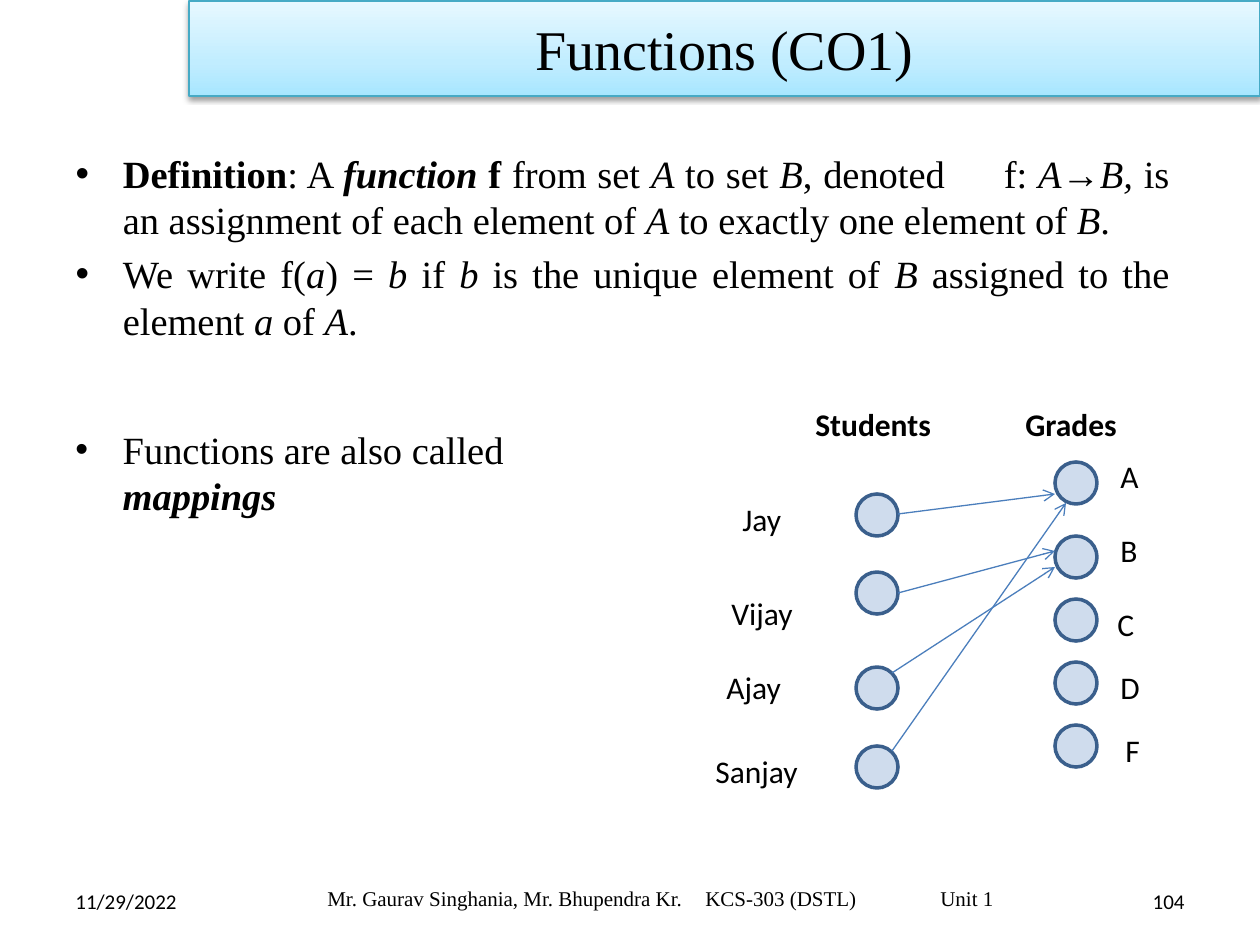
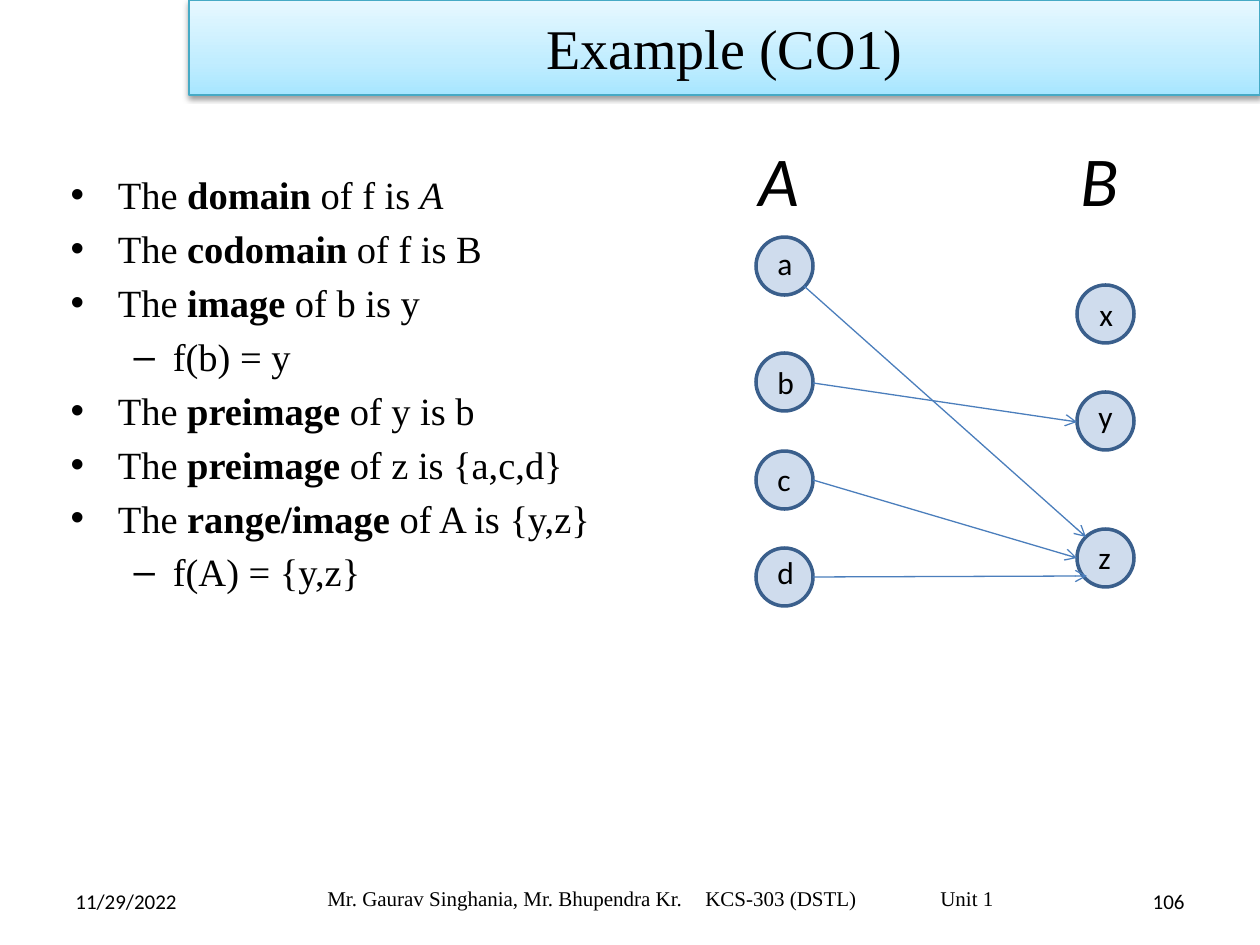
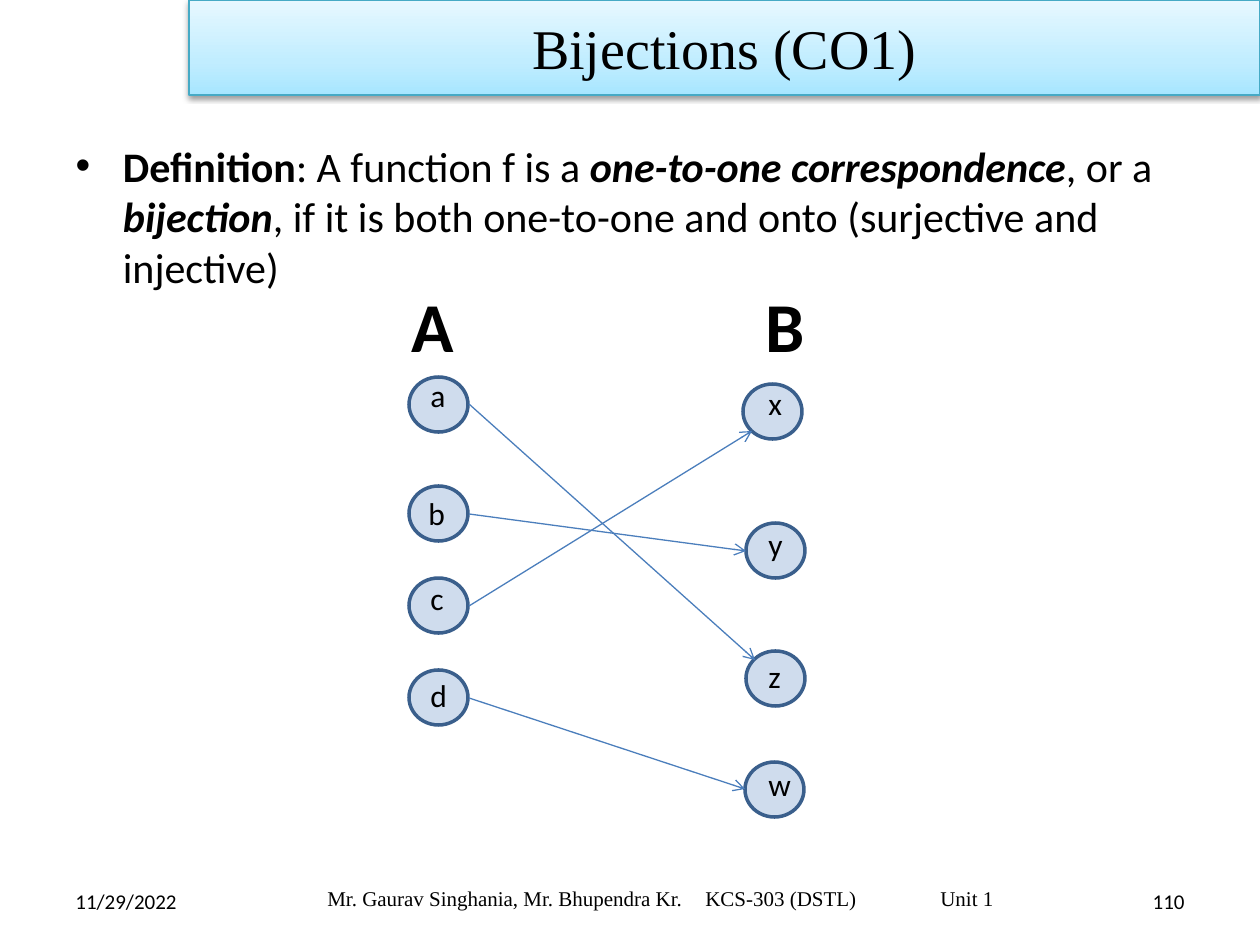
from copy import deepcopy

from lxml import etree
from pptx import Presentation
from pptx.dml.color import RGBColor
from pptx.enum.shapes import MSO_CONNECTOR, MSO_SHAPE
from pptx.enum.text import MSO_ANCHOR, MSO_AUTO_SIZE, PP_ALIGN
from pptx.oxml import parse_xml
from pptx.oxml.ns import nsdecls, qn
from pptx.util import Emu, Pt

CIRCLE = MSO_SHAPE.FLOWCHART_CONNECTOR
STRAIGHT = MSO_CONNECTOR.STRAIGHT
LEFT, CENTER, RIGHT, JUSTIFY = PP_ALIGN.LEFT, PP_ALIGN.CENTER, PP_ALIGN.RIGHT, PP_ALIGN.JUSTIFY
TOP, MIDDLE = MSO_ANCHOR.TOP, MSO_ANCHOR.MIDDLE
NO_FIT = MSO_AUTO_SIZE.NONE

BLACK = RGBColor(0x00, 0x00, 0x00)
BAND_STOPS = [
    (0, RGBColor(0xA7, 0xE6, 0xFF)),
    (0.35, RGBColor(0xC1, 0xED, 0xFF)),
    (1, RGBColor(0xE7, 0xF8, 0xFF)),
]
BAND_LINE = RGBColor(0x46, 0xAA, 0xC5)
NODE_FILL = RGBColor(0x4F, 0x81, 0xBD)
NODE_LINE = RGBColor(0x3A, 0x5F, 0x8C)
ARROW = RGBColor(0x4B, 0x7E, 0xBC)

SERIF = "Times New Roman"
SANS = "Calibri"
PX_PER_INCH = 126
DATE = "11/29/2022"
FOOTER = "Mr. Gaurav Singhania, Mr. Bhupendra Kr.\tKCS-303 (DSTL)\tUnit 1"
FOOTER_TABS = [378, 613]
WIDE_SPACE = "2750"


def px(value):
    return Emu(round(value * 914400 / PX_PER_INCH))


def child(parent, tag, **attributes):
    return etree.SubElement(parent, qn(tag), attributes)


class Deck:
    def __init__(self):
        self.presentation = Presentation()
        self.presentation.slide_width = px(1260)
        self.presentation.slide_height = px(945)
        self.slide = None

    def start(self, title, number, title_top=0):
        self.slide = self.presentation.slides.add_slide(self.presentation.slide_layouts[1])
        self.title(title, title_top)
        self.text([(DATE, "")], 63, 876, 294, 50, 12, anchor=MIDDLE)
        self.text([(number, "")], 903, 876, 294, 50, 12, anchor=MIDDLE, alignment=RIGHT)
        footer = self.text([(FOOTER, "")], 315, 873, 693, 50, 12, SERIF, MIDDLE)
        tabs = child(footer._p.get_or_add_pPr(), "a:tabLst")
        for position in FOOTER_TABS:
            child(tabs, "a:tab", pos=str(px(position)), algn="l")

    def place(self, shape, left, top, width, height):
        shape.left, shape.top, shape.width, shape.height = map(px, (left, top, width, height))

    def frame(self, shape, anchor):
        frame = shape.text_frame
        frame.word_wrap = True
        frame.auto_size = NO_FIT
        frame.vertical_anchor = anchor
        return frame

    def runs(self, paragraph, parts, size, font):
        for text, style in parts:
            run = paragraph.add_run()
            run.text = text
            run.font.name = font
            run.font.size = Pt(size)
            run.font.color.rgb = BLACK
            run.font.bold = "b" in style
            run.font.italic = "i" in style
            if "w" in style:
                run._r.get_or_add_rPr().set("spc", WIDE_SPACE)

    def title(self, text, top):
        shape = self.slide.shapes.title
        self.place(shape, 189, top, 1071, 95)
        shape.fill.gradient()
        shape.fill.gradient_angle = 90
        properties = shape._element.spPr
        stop_list = properties.find(".//" + qn("a:gsLst"))
        stop_list.insert(1, deepcopy(stop_list[0]))
        for stop, (position, color) in zip(shape.fill.gradient_stops, BAND_STOPS):
            stop.position = position
            stop.color.rgb = color
        shape.line.color.rgb = BAND_LINE
        shape.line.width = Pt(0.75)
        properties.append(parse_xml(
            f'<a:effectLst {nsdecls("a")}>'
            '<a:outerShdw blurRad="40000" dist="20000" dir="5400000" rotWithShape="0">'
            '<a:srgbClr val="000000"><a:alpha val="38000"/></a:srgbClr>'
            "</a:outerShdw></a:effectLst>"
        ))
        paragraph = self.frame(shape, MIDDLE).paragraphs[0]
        paragraph.alignment = CENTER
        self.runs(paragraph, [(text, "")], 32, SERIF)

    def body(self, items, left, top, width, height, size=22, font=SERIF, alignment=LEFT):
        shape = self.slide.placeholders[1]
        self.place(shape, left, top, width, height)
        frame = self.frame(shape, TOP)
        for index, (level, parts) in enumerate(items):
            paragraph = frame.add_paragraph() if index else frame.paragraphs[0]
            paragraph.level = level
            paragraph.alignment = alignment
            self.runs(paragraph, parts, size, font)

    def text(self, parts, left, top, width, height, size=18, font=SANS,
             anchor=TOP, alignment=LEFT):
        shape = self.slide.shapes.add_textbox(*map(px, (left, top, width, height)))
        paragraph = self.frame(shape, anchor).paragraphs[0]
        paragraph.alignment = alignment
        self.runs(paragraph, parts, size, font)
        return paragraph

    def bullet(self, parts, left, top, width, height):
        paragraph = self.text(parts, left, top, width, height, 22, SERIF)
        properties = paragraph._p.get_or_add_pPr()
        properties.set("marL", "342900")
        properties.set("indent", "-342900")
        child(properties, "a:buSzPct", val="95000")
        child(properties, "a:buFont", typeface="Arial")
        child(properties, "a:buChar", char="•")

    def labels(self, entries, width, height, size=18, style=""):
        for text, left, top in entries:
            self.text([(text, style)], left, top, width, height, size)

    def nodes(self, corners, width, height):
        for left, top in corners:
            shape = self.slide.shapes.add_shape(CIRCLE, *map(px, (left, top, width, height)))
            shape.shadow.inherit = False
            shape.fill.solid()
            shape.fill.fore_color.rgb = NODE_FILL
            color = shape._element.spPr.find(qn("a:solidFill")).find(qn("a:srgbClr"))
            child(color, "a:alpha", val="27000")
            shape.line.color.rgb = NODE_LINE
            shape.line.width = Pt(2)

    def arrows(self, ends):
        for points in ends:
            connector = self.slide.shapes.add_connector(STRAIGHT, *map(px, points))
            connector.line.color.rgb = ARROW
            connector.line.width = Pt(0.75)
            properties = connector._element.spPr
            child(properties.find(qn("a:ln")), "a:tailEnd", type="arrow")
            child(properties, "a:effectLst")


def functions_slide(deck):
    deck.start("Functions (CO1)", "104", 1)
    deck.body([
        (0, [("Definition", "b"), (": A ", ""), ("function ", "bi"), ("f ", "b"),
             ("from set ", ""), ("A", "i"), (" to set ", ""), ("B", "i"),
             (", denoted", ""), (" ", "w"), ("f: ", ""), ("A", "i"), ("→", ""),
             ("B, ", "i"), ("is an assignment of each element of ", ""), ("A", "i"),
             (" to exactly one element of ", ""), ("B", "i"), (".", "")]),
        (0, [("We write f(", ""), ("a", "i"), (") = ", ""), ("b ", "i"), ("if ", ""),
             ("b", "i"), (" is the unique element of ", ""), ("B", "i"),
             (" assigned to the element ", ""), ("a", "i"), (" of ", ""), ("A", "i"),
             (".", "")]),
    ], 63, 144, 1119, 654, alignment=JUSTIFY)
    deck.bullet([("Functions are also called ", ""), ("mappings", "bi")], 63, 420, 483, 106)

    deck.labels([("Students", 803, 399), ("Grades", 1013, 399)], 184, 50, style="b")
    deck.labels([("Jay", 730, 494), ("Vijay", 719, 588), ("Ajay", 714, 662),
                 ("Sanjay", 703, 746)], 116, 50)
    deck.labels([("A", 1108, 451), ("B", 1108, 525), ("C", 1105, 599),
                 ("D", 1108, 662), ("F", 1113, 725)], 30, 50)
    deck.nodes([(856, top) for top in (494, 572, 667, 746)], 42, 42)
    deck.nodes([(1055, top) for top in (462, 536, 599, 662, 725)], 42, 42)
    deck.arrows([(898, 514, 1055, 494), (892, 673, 1055, 567),
                 (898, 593, 1055, 551), (892, 751, 1066, 503)])


def example_slide(deck):
    deck.start("Example (CO1)", "106")
    deck.body([
        (0, [("The ", ""), ("domain", "b"), (" of f is ", ""), ("A", "i")]),
        (0, [("The ", ""), ("codomain", "b"), (" of f is B", "")]),
        (0, [("The ", ""), ("image", "b"), (" of b is y", "")]),
        (1, [("f(b) = y", "")]),
        (0, [("The ", ""), ("preimage", "b"), (" of y is b", "")]),
        (0, [("The ", ""), ("preimage ", "b"), ("of z is {a,c,d}", "")]),
        (0, [("The ", ""), ("range/image", "b"), (" of A is {y,z}", "")]),
        (1, [("f(A) = {y,z}", "")]),
    ], 58, 165, 704, 640)

    deck.nodes([(756, top) for top in (237, 353, 451, 548)], 57, 58)
    deck.nodes([(1077, top) for top in (285, 392, 529)], 57, 58)
    deck.labels([("A", 746, 130), ("B", 1068, 130)], 86, 106, 40, "i")
    deck.labels([("a", 765, 238), ("b", 765, 357), ("c", 765, 454), ("d", 765, 547),
                 ("x", 1087, 289), ("y", 1086, 391), ("z", 1086, 532)], 38, 47)
    deck.arrows([(813, 383, 1077, 422), (804, 286, 1086, 537),
                 (813, 480, 1077, 558), (813, 577, 1087, 576)])


def bijections_slide(deck):
    deck.start("Bijections (CO1)", "110")
    deck.body([
        (0, [("Definition", "b"), (": A function f is a ", ""),
             ("one-to-one correspondence", "bi"), (", or a ", ""), ("bijection", "bi"),
             (", if it is both one-to-one and onto (surjective and injective)", "")]),
    ], 63, 134, 1197, 662, 24, SANS)

    deck.nodes([(409, top) for top in (377, 486, 578, 670)], 59, 55)
    deck.nodes([(743, 384), (746, 523), (746, 651), (745, 762)], 59, 55)
    deck.labels([("A", 399, 276), ("B", 753, 276)], 89, 86, 40, "b")
    deck.labels([("a", 418, 370), ("b", 416, 488), ("c", 418, 573), ("d", 418, 670),
                 ("x", 756, 378), ("y", 756, 519), ("z", 756, 651), ("w", 756, 759)], 39, 44)
    deck.arrows([(469, 514, 746, 551), (469, 404, 755, 660),
                 (469, 606, 752, 431), (469, 698, 745, 789)])


def main():
    deck = Deck()
    functions_slide(deck)
    example_slide(deck)
    bijections_slide(deck)
    deck.presentation.save("out.pptx")


if __name__ == "__main__":
    main()
